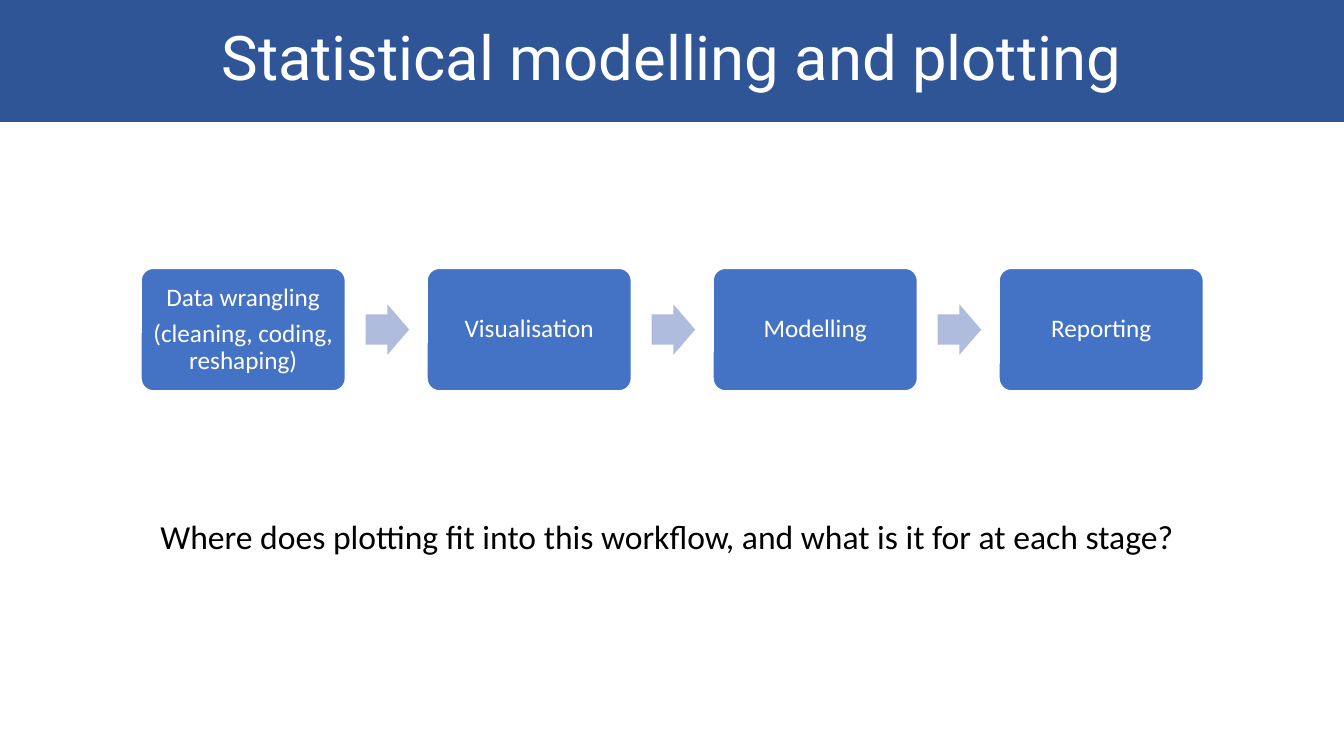
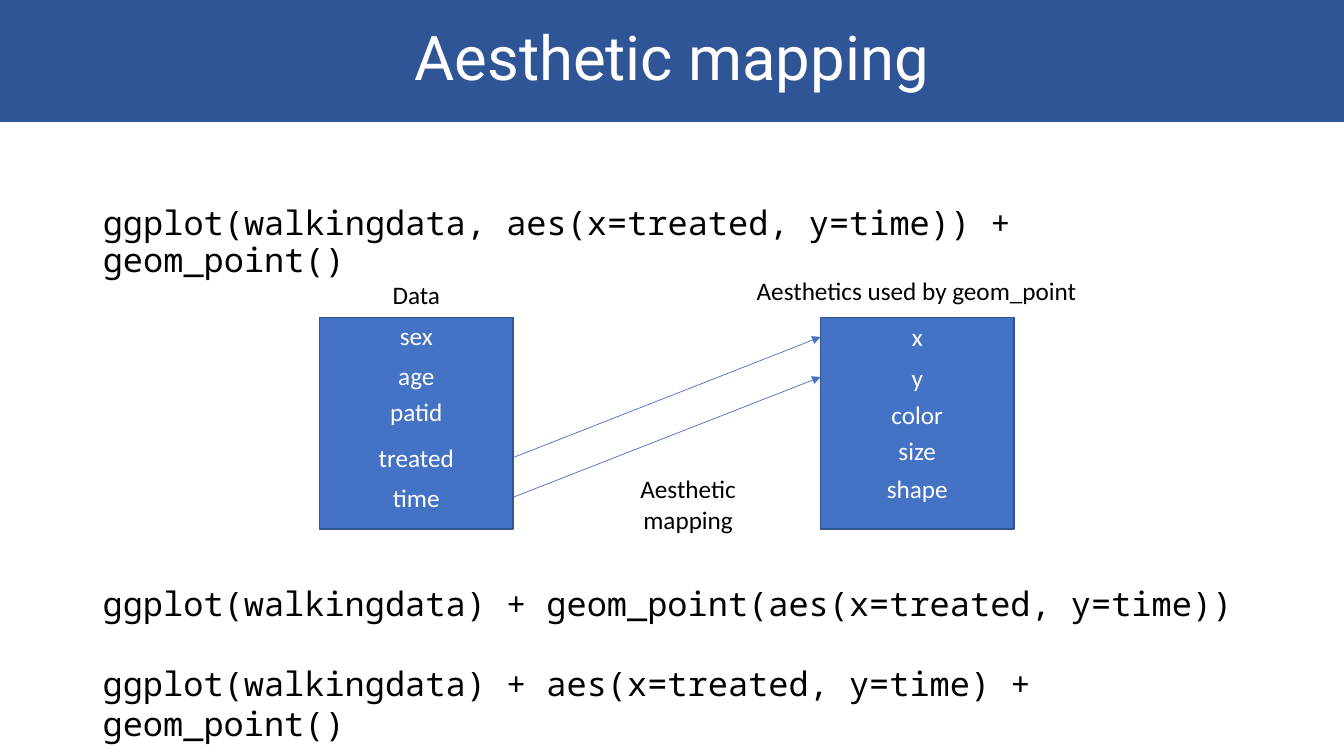
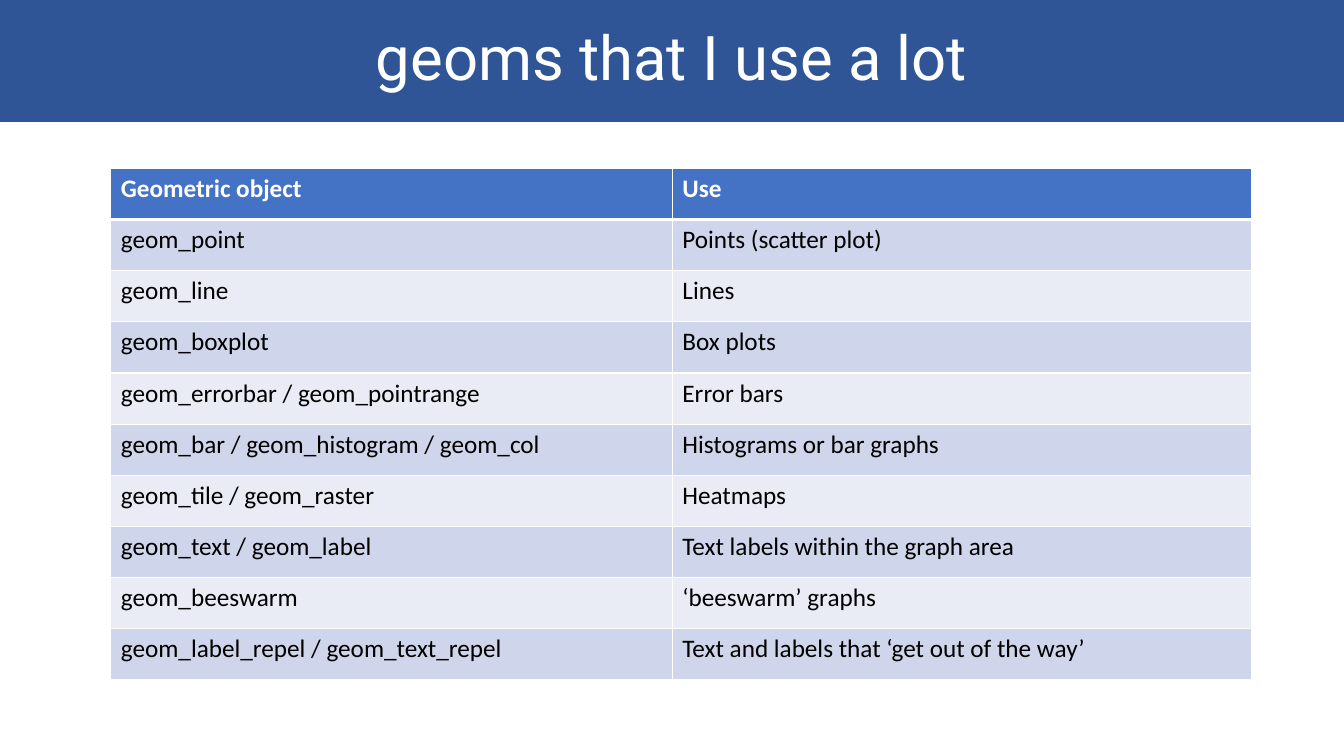
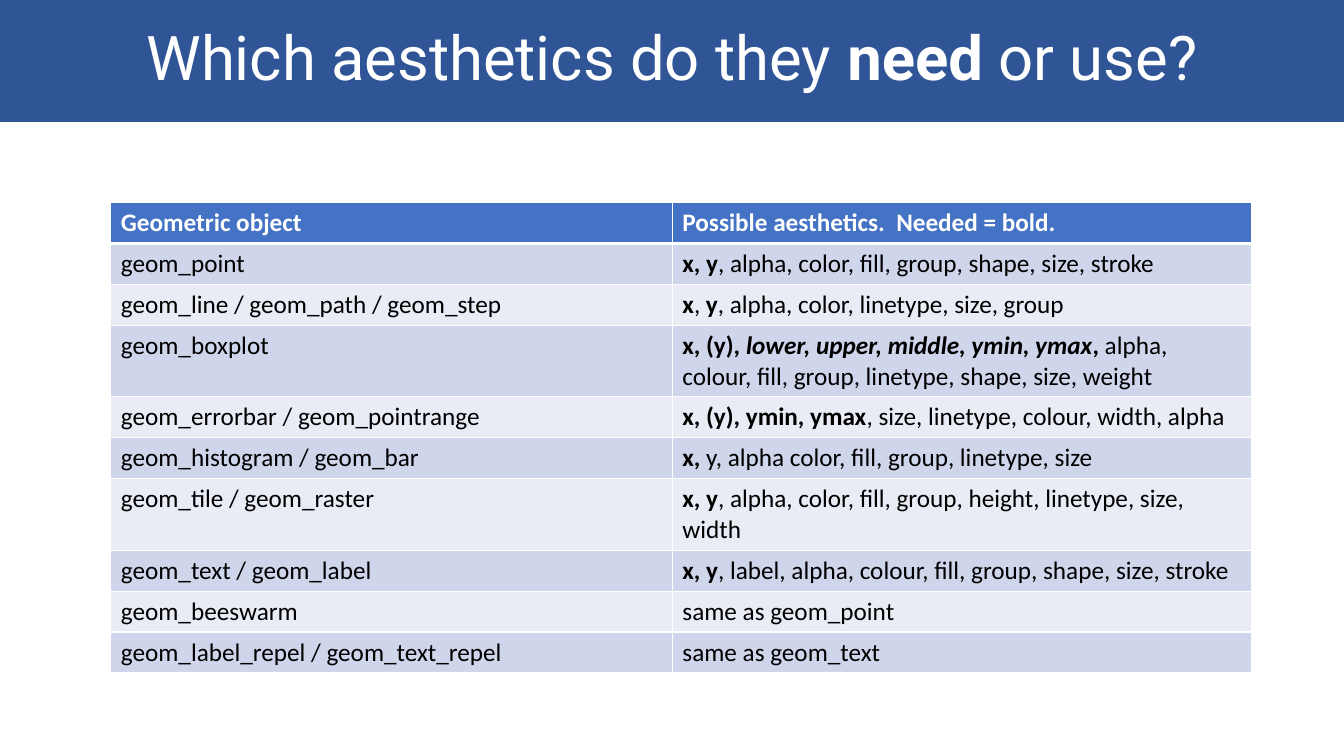
"""Build four slides on statistical plotting with grammar-of-graphics layers."""
from lxml.etree import SubElement
from pptx import Presentation
from pptx.dml.color import RGBColor
from pptx.enum.shapes import MSO_CONNECTOR, MSO_SHAPE as SHAPE
from pptx.enum.text import MSO_ANCHOR as ANCHOR, MSO_AUTO_SIZE as FIT, PP_ALIGN as ALIGN
from pptx.oxml.ns import qn
from pptx.util import Inches, Pt

rgb = RGBColor.from_string
NAVY, BLUE, EDGE, PALE_BLUE = "2F5597", "4472C4", "325491", "B0BCDE"
WHITE, BLACK = "FFFFFF", "000000"
STRIPES = ("E9EBF5", "CFD5EA")
SANS, MONO, HEADING = "Calibri", "Noto Sans Mono", "Roboto"

deck = Presentation()
deck.slide_width, deck.slide_height = Inches(13.33), Inches(7.5)


def place(left, top, width, height):
    """Turn percentages of the slide into lengths."""
    column, row = deck.slide_width / 100, deck.slide_height / 100
    return int(left * column), int(top * row), int(width * column), int(height * row)


def write(paragraph, content, size, font, color, align=ALIGN.LEFT, spacing=1.0):
    """Fill a paragraph with text, or with (text, style) pairs, b bold and i italic."""
    paragraph.alignment, paragraph.line_spacing = align, spacing
    for words, style in [(content, "")] if isinstance(content, str) else content:
        run = paragraph.add_run()
        run.text = words
        run.font.size, run.font.name = Pt(size), font
        run.font.color.rgb = rgb(color)
        run.font.bold, run.font.italic = "b" in style, "i" in style


titles = [
    (5, "Statistical modelling and plotting"),
    (1, "Aesthetic mapping"),
    (5, "geoms that I use a lot"),
    (5, [("Which aesthetics do they ", ""), ("need ", "b"), ("or use?", "")]),
]
for layout, heading in titles:
    slide = deck.slides.add_slide(deck.slide_layouts[layout])
    band = slide.shapes.title
    band.left, band.top, band.width, band.height = place(0, 0, 100, 16.13)
    band.fill.solid()
    band.fill.fore_color.rgb = rgb(NAVY)
    band.text_frame.vertical_anchor = ANCHOR.MIDDLE
    band.text_frame.auto_size = FIT.NONE
    write(band.text_frame.paragraphs[0], heading, 44, HEADING, WHITE, ALIGN.CENTER, 0.9)
workflow, mapping, geoms, needs = deck.slides

stages = [["Data wrangling", "(cleaning, coding, reshaping)"],
          ["Visualisation"], ["Modelling"], ["Reporting"]]
for index, lines in enumerate(stages):
    left = 10.5 + index * 21.28
    stage = workflow.shapes.add_shape(SHAPE.ROUNDED_RECTANGLE, *place(left, 35.5, 15.2, 16.2))
    stage.adjustments[0] = 0.1
    stage.shadow.inherit = False
    stage.fill.solid()
    stage.fill.fore_color.rgb = rgb(BLUE)
    stage.line.color.rgb = rgb(WHITE)
    stage.line.width = Pt(1)
    label = stage.text_frame
    label.word_wrap, label.vertical_anchor = True, ANCHOR.MIDDLE
    label.margin_left = label.margin_right = label.margin_top = label.margin_bottom = Inches(0.07)
    for number, line in enumerate(lines):
        paragraph = label.add_paragraph() if number else label.paragraphs[0]
        write(paragraph, line, 18, SANS, WHITE, ALIGN.CENTER, 0.9)
        paragraph.space_after = Pt(6.3)
    if index < len(stages) - 1:
        arrow = workflow.shapes.add_shape(SHAPE.RIGHT_ARROW, *place(left + 16.7, 40.25, 3.25, 6.7))
        arrow.adjustments[0], arrow.adjustments[1] = 0.6, 0.5
        arrow.shadow.inherit = False
        arrow.fill.solid()
        arrow.fill.fore_color.rgb = rgb(PALE_BLUE)
        arrow.line.fill.background()

question = workflow.shapes.add_textbox(*place(11.2, 67.6, 77.6, 6.7)).text_frame
question.word_wrap = False
write(question.paragraphs[0],
      "Where does plotting fit into this workflow, and what is it for at each stage?",
      24, SANS, BLACK)

call = mapping.placeholders[1]
call.left, call.top, call.width, call.height = place(6.9, 26.67, 86.25, 63.5)
call.text_frame.auto_size = FIT.NONE
first_call = call.text_frame.paragraphs[0]
properties = first_call._p.get_or_add_pPr()
properties.set("marL", "0")
properties.set("indent", "0")
SubElement(properties, qn("a:buNone"))
write(first_call, "ggplot(walkingdata, aes(x=treated, y=time)) + geom_point()",
      24, MONO, BLACK, spacing=0.9)
first_call.space_before = Pt(0)

DATA_LEFT, AES_LEFT, BOX_WIDTH, LABEL_HEIGHT = 23.78, 61.05, 14.4, 5.35
for left in (DATA_LEFT, AES_LEFT):
    box = mapping.shapes.add_shape(SHAPE.RECTANGLE, *place(left, 42, BOX_WIDTH, 28))
    box.shadow.inherit = False
    box.fill.solid()
    box.fill.fore_color.rgb = rgb(BLUE)
    box.line.color.rgb = rgb(EDGE)
    box.line.width = Pt(1)

columns = [
    (DATA_LEFT, {"sex": 41.75, "age": 46.95, "patid": 51.75, "treated": 57.85, "time": 63.1}),
    (AES_LEFT, {"x": 41.9, "y": 47.2, "color": 52.15, "size": 56.95, "shape": 62}),
]
captions = [
    ("Data", DATA_LEFT, 36.25, BOX_WIDTH, LABEL_HEIGHT, BLACK),
    ("Aesthetics used by geom_point", 51.2, 35.75, 34, LABEL_HEIGHT, BLACK),
    ("Aesthetic mapping", 44, 62, BOX_WIDTH, 9.5, BLACK),
]
captions += [(name, left, top, BOX_WIDTH, LABEL_HEIGHT, WHITE)
             for left, names in columns for name, top in names.items()]
labels = {}
for caption, left, top, width, height, color in captions:
    labels[caption] = mapping.shapes.add_textbox(*place(left, top, width, height))
    labels[caption].text_frame.word_wrap = True
    write(labels[caption].text_frame.paragraphs[0], caption, 18, SANS, color, ALIGN.CENTER)

for variable, aesthetic in (("treated", "x"), ("time", "y")):
    link = mapping.shapes.add_connector(MSO_CONNECTOR.STRAIGHT, 0, 0, 0, 0)
    link.begin_connect(labels[variable], 3)
    link.end_connect(labels[aesthetic], 1)
    link.line.color.rgb = rgb(BLUE)
    link.line.width = Pt(0.5)
    outline = link._element.spPr
    SubElement(outline.find(qn("a:ln")), qn("a:tailEnd"), type="triangle")
    SubElement(outline, qn("a:effectLst"))

other_calls = mapping.shapes.add_textbox(*place(6.9, 76.4, 86.25, 23.5)).text_frame
other_calls.word_wrap = True
write(other_calls.paragraphs[0], "ggplot(walkingdata) + geom_point(aes(x=treated, y=time))",
      24, MONO, BLACK)
last_call = other_calls.add_paragraph()
write(last_call, "ggplot(walkingdata) + aes(x=treated, y=time) + geom_point()", 24, MONO, BLACK)
last_call.space_before = Pt(28.5)

uses = [
    ("Geometric object", "Use"),
    ("geom_point", "Points (scatter plot)"),
    ("geom_line", "Lines"),
    ("geom_boxplot", "Box plots"),
    ("geom_errorbar / geom_pointrange", "Error bars"),
    ("geom_bar / geom_histogram / geom_col", "Histograms or bar graphs"),
    ("geom_tile / geom_raster", "Heatmaps"),
    ("geom_text / geom_label", "Text labels within the graph area"),
    ("geom_beeswarm", "‘beeswarm’ graphs"),
    ("geom_label_repel / geom_text_repel", "Text and labels that ‘get out of the way’"),
]
aesthetics = [
    ("Geometric object", "Possible aesthetics.  Needed = bold."),
    ("geom_point", [("x, y", "b"), (", alpha, color, fill, group, shape, size, stroke", "")]),
    ("geom_line / geom_path / geom_step",
     [("x", "b"), (",", ""), (" y", "b"), (", alpha, color, linetype, size, group", "")]),
    ("geom_boxplot",
     [("x, (y), ", "b"), ("lower, upper, middle, ymin, ymax", "bi"), (", ", "b"),
      ("alpha, colour, fill, group, linetype, shape, size, weight", "")]),
    ("geom_errorbar / geom_pointrange",
     [("x, (y), ymin, ymax", "b"), (", size, linetype, colour, width, alpha", "")]),
    ("geom_histogram / geom_bar",
     [("x, ", "b"), ("y, alpha color, fill, group, linetype, size", "")]),
    ("geom_tile / geom_raster",
     [("x, y", "b"), (", alpha, color, fill, group, height, linetype, size, width", "")]),
    ("geom_text / geom_label",
     [("x, y", "b"), (", label, alpha, colour, fill, group, shape, size, stroke", "")]),
    ("geom_beeswarm", "same as geom_point"),
    ("geom_label_repel / geom_text_repel", "same as geom_text"),
]
for slide, rows, top, row_height in ((geoms, uses, 22.27, 6.77), (needs, aesthetics, 26.8, 5.41)):
    frame = place(8.25, top, 84.91, row_height * len(rows))
    grid = slide.shapes.add_table(len(rows), 2, *frame).table
    for column, share in zip(grid.columns, (41.78, 43.13)):
        column.width = place(0, 0, share, 0)[2]
    for r, entries in enumerate(rows):
        grid.rows[r].height = place(0, 0, 0, row_height)[3]
        for c, entry in enumerate(entries):
            cell = grid.cell(r, c)
            edges = cell._tc.get_or_add_tcPr()
            for side, points in (("L", 1), ("R", 1), ("T", 3 if r == 1 else 1),
                                 ("B", 1 if r else 3)):
                edge = SubElement(edges, qn(f"a:ln{side}"), w=str(Pt(points)))
                SubElement(SubElement(edge, qn("a:solidFill")), qn("a:srgbClr"), val=WHITE)
            cell.fill.solid()
            cell.fill.fore_color.rgb = rgb(STRIPES[r % 2] if r else BLUE)
            write(cell.text_frame.paragraphs[0], entry if r else [(entry, "b")],
                  18, SANS, BLACK if r else WHITE)

deck.save("out.pptx")
